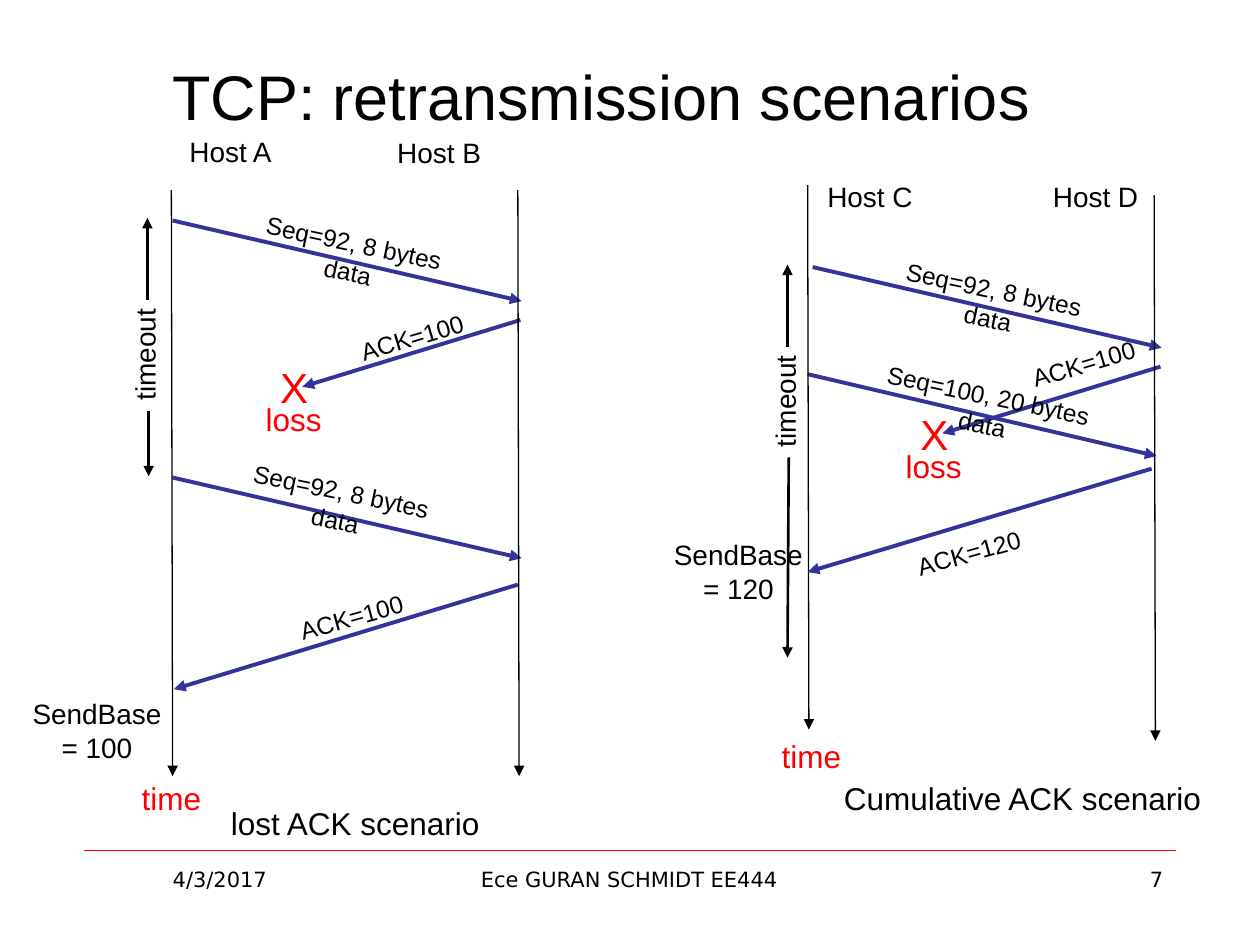
from lxml.etree import SubElement
from pptx import Presentation
from pptx.dml.color import RGBColor
from pptx.enum.shapes import MSO_CONNECTOR as Conn
from pptx.enum.text import MSO_ANCHOR as Anchor, PP_ALIGN as Align
from pptx.oxml.ns import qn
from pptx.util import Inches, Pt

BLACK, RED, BLUE = "000000", "FF0000", "333399"
DOWN, STEEP, UP = 11.8, 343.6, 344.6


def color(code):
    return RGBColor.from_string(code)


def write(frame, text, size=16, font="Arial", fill=BLACK, align=Align.CENTER,
          anchor=Anchor.TOP, wrap=False):
    frame.word_wrap = wrap
    frame.vertical_anchor = anchor
    frame.text = text
    for para in frame.paragraphs:
        para.alignment = align
        para.font.size = Pt(size)
        para.font.name = font
        para.font.color.rgb = color(fill)


class Board:
    """Holds the slide and draws each kind of element on it."""

    def __init__(self, deck):
        self.slide = deck.slides.add_slide(deck.slide_layouts[5])
        self.shapes = self.slide.shapes

    def title(self, text, x, y, w, h):
        box = self.shapes.title
        box.left, box.top, box.width, box.height = map(Inches, (x, y, w, h))
        write(box.text_frame, text, size=36, anchor=Anchor.MIDDLE, wrap=True)

    def label(self, text, x, y, w, h=0.37, turn=0, **style):
        box = self.shapes.add_textbox(*map(Inches, (x, y, w, h)))
        box.rotation = turn
        write(box.text_frame, text, **style)

    def line(self, x1, y1, x2, y2, fill=BLACK, width=0.75, head=True):
        link = self.shapes.add_connector(
            Conn.STRAIGHT, *map(Inches, (x1, y1, x2, y2)))
        link.line.color.rgb = color(fill)
        link.line.width = Pt(width)
        if head:
            SubElement(link.line._get_or_add_ln(), qn("a:tailEnd"), type="triangle")
        SubElement(link._element.spPr, qn("a:effectLst"))

    def send(self, x1, y1, x2, y2):
        self.line(x1, y1, x2, y2, fill=BLUE, width=2.25)

    def span(self, x1, y1, x2, y2):
        self.line(x1, y1, x2, y2, width=1.5)

    def seq(self, text, x, y, w=2.04):
        self.label(text, x, y, w, 0.33, turn=DOWN, size=14, wrap=True)

    def ack(self, text, x, y, w=1.06, turn=UP):
        self.label(text, x, y, w, 0.33, turn=turn, size=14, wrap=True)

    def base(self, number, x, y):
        self.label(f"SendBase\n= {number}", x, y, 1.24, 0.64)

    def axis(self, x, top, end):
        self.line(x, top, x + 0.01, end)

    def time(self, x, y):
        self.label("time", x, y, 0.68, 0.4, size=18, fill=RED)

    def loss(self, x, y, hosts, ack, name):
        """Draw the first segment, its lost ACK, the timer and the names.

        hosts holds a (text, left, top, width) for each end, ack the place of
        the ACK label, and name the (text, left, top, width) of the caption.
        """
        near, far = hosts
        self.send(x + 2.76, y + 0.79, x + 1.03, y + 1.32)
        self.send(x, y, x + 2.77, y + 0.64)
        self.label(*near)
        self.seq("Seq=92, 8 bytes data", x + 0.42, y + 0.01)
        self.ack("ACK=100", *ack, w=1.04, turn=STEEP)
        self.label("loss", x + 0.635, y + 1.375, 0.65, 0.4, size=18, fill=RED)
        self.label("timeout", x - 0.69, y + 0.88, 0.94, turn=270)
        self.label(*name, 0.4, size=18)
        self.label(*far)
        self.label("X", x + 0.755, y + 1.07, 0.42, 0.5, size=24, fill=RED)

    def timer(self, x, y, low, foot):
        """Draw the timeout arrows: up to y, and from low down to foot."""
        self.span(x, y + 0.65, x, y)
        self.span(x + 0.01, low, *foot)


def lost(board):
    board.loss(1.37, 1.75,
               (("Host A", 1.4, 1.02, 0.86), ("Host B", 3.03, 1.03, 0.91)),
               (2.75, 2.51), ("lost ACK scenario", 1.7, 6.33, 2.24))
    board.send(1.37, 3.79, 4.14, 4.43)
    board.seq("Seq=92, 8 bytes data", 1.69, 3.73)
    for x in (1.36, 4.11):
        board.axis(x, 1.51, 6.16)
    board.send(4.11, 4.64, 1.38, 5.47)
    board.ack("ACK=100", 2.26, 4.73)
    board.timer(1.17, 1.73, 3.26, (1.18, 3.78))
    board.time(1.02, 6.13)
    board.base(100, 0.15, 5.48)


def joint(board):
    board.loss(6.45, 2.12,
               (("Host C", 6.46, 1.38, 0.89), ("Host D", 8.24, 1.38, 0.91)),
               (8.08, 2.72), ("Cumulative ACK scenario", 6.59, 6.13, 3.05))
    board.send(6.41, 2.97, 9.18, 3.62)
    board.seq("Seq=100, 20 bytes data", 6.72, 2.97, 2.25)
    board.axis(6.41, 1.47, 5.79)
    board.axis(9.16, 1.55, 5.88)
    board.send(9.14, 3.72, 6.41, 4.54)
    board.ack("ACK=120", 7.16, 4.22)
    board.timer(6.25, 2.1, 3.63, (6.25, 5.22))
    board.time(6.1, 5.8)
    board.base(120, 5.24, 4.22)


def footer(board):
    board.line(0.67, 6.75, 9.33, 6.75, fill=RED, width=0.25, head=False)
    for text, x, w, align in (
            ("4/3/2017", 0.66, 2.17, Align.CENTER),
            ("Ece GURAN SCHMIDT EE444", 3.41, 3.17, Align.CENTER),
            ("7", 7.16, 2.17, Align.RIGHT)):
        board.label(text, x, 6.83, w, 0.52, size=12, font="DejaVu Sans",
                    align=align, wrap=True)


def main():
    deck = Presentation()
    deck.slide_width, deck.slide_height = Inches(10), Inches(7.5)
    board = Board(deck)
    footer(board)
    board.title("TCP: retransmission scenarios", 0.52, 0.26, 8.5, 0.99)
    lost(board)
    joint(board)
    deck.save("out.pptx")


if __name__ == "__main__":
    main()
